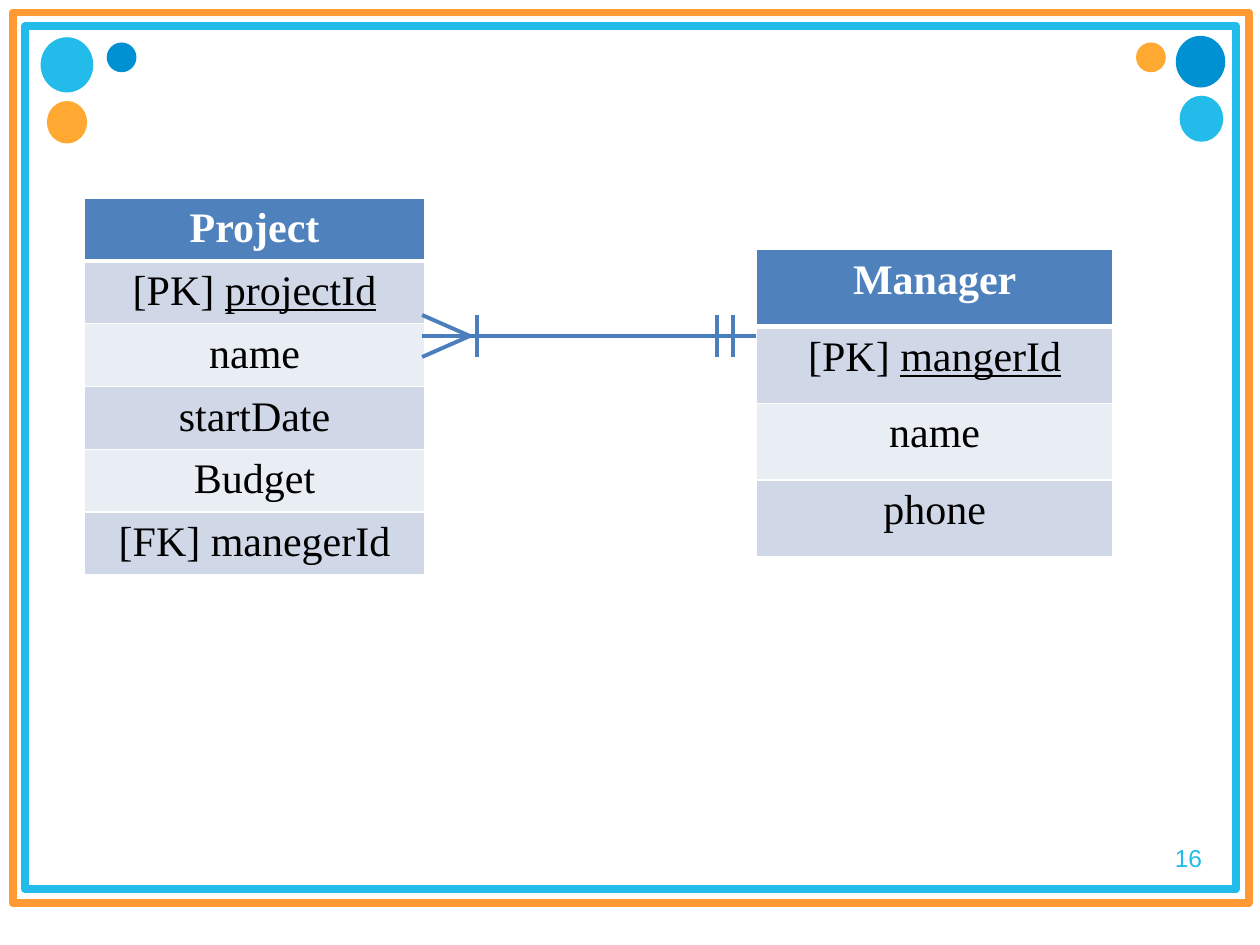
from dataclasses import dataclass

from lxml import etree
from pptx import Presentation
from pptx import util as u
from pptx.dml.color import RGBColor
from pptx.enum import shapes as sh, text as tx
from pptx.oxml import ns

WHITE = RGBColor(0xFF, 0xFF, 0xFF)
BLACK = RGBColor(0, 0, 0)
CYAN = RGBColor(0x22, 0xBB, 0xEA)
BLUE = RGBColor(0x00, 0x91, 0xD2)
AMBER = RGBColor(0xFF, 0x99, 0x0F)
ORANGE = RGBColor(0xFF, 0x99, 0x33)
HEAD = RGBColor(0x4F, 0x81, 0xBD)
DARK = RGBColor(0xD0, 0xD8, 0xE8)
LIGHT = RGBColor(0xE9, 0xED, 0xF4)
LINK = RGBColor(0x4B, 0x7E, 0xBC)
SERIF = "Times New Roman"
SPACE = 0.78


@dataclass
class Shape:
    left: float
    top: float
    width: float
    height: float
    fill: RGBColor | None = None
    line: RGBColor | None = None
    weight: float = 2
    alpha: int = 100


@dataclass
class Field:
    name: str
    tag: str = ""
    under: bool = False


@dataclass
class Table:
    title: str
    left: float
    top: float
    width: float
    row: float
    fields: list[Field]


@dataclass
class Line:
    x1: float
    y1: float
    x2: float
    y2: float


FRAMES = [
    Shape(14.4, 15, 692, 493.2, WHITE, CYAN, 4.5),
    Shape(7.2, 7.2, 706.3, 509, None, ORANGE, 4.5),
]
DOTS = [
    Shape(24.2, 22.3, 28.1, 29.5, CYAN, CYAN),
    Shape(61, 24.3, 17, 17, BLUE),
    Shape(26.8, 57.7, 23, 24.3, AMBER, alpha=85),
    Shape(671.9, 20.5, 28.3, 29.5, BLUE),
    Shape(675.1, 55.7, 22.9, 24.3, CYAN, CYAN),
    Shape(649.2, 24.3, 17, 17, AMBER, alpha=85),
]
TABLES = [
    Table("Manager", 432.4, 142.7, 203.4, 43.9, [
        Field("mangerId", "[PK] ", True), Field("name"), Field("phone")]),
    Table("Project", 48.4, 113.2, 194.2, 35.9, [
        Field("projectId", "[PK] ", True), Field("name"),
        Field("startDate"), Field("Budget"), Field("[FK] manegerId")]),
]
LEFT, RIGHT, MID, HALF, FORK = 241.2, 432, 192, 12, 268.5
LINES = [
    Line(LEFT, MID, RIGHT, MID),
    *(Line(FORK, MID, LEFT, MID + d) for d in (-HALF, HALF)),
    *(Line(x, MID - HALF, x, MID + HALF) for x in (272.5, 418.9, 409.8)),
]


def add_shape(slide, kind: sh.MSO_SHAPE, item: Shape) -> None:
    shape = slide.shapes.add_shape(kind, u.Pt(item.left), u.Pt(item.top),
                                   u.Pt(item.width), u.Pt(item.height))
    shape.shadow.inherit = False
    if item.fill is None:
        shape.fill.background()
    else:
        shape.fill.solid()
        shape.fill.fore_color.rgb = item.fill
    if item.alpha < 100:
        tint = shape.fill._xPr.find(".//" + ns.qn("a:srgbClr"))
        etree.SubElement(tint, ns.qn("a:alpha"), val=str(item.alpha * 1000))
    if item.line is None:
        shape.line.fill.background()
    else:
        shape.line.color.rgb = item.line
        shape.line.width = u.Pt(item.weight)


def add_run(para, words: str, size: float, face: str, color: RGBColor,
            bold: bool = False, under: bool = False) -> None:
    run = para.add_run()
    run.text = words
    font = run.font
    font.size, font.name, font.bold = u.Pt(size), face, bold
    font.underline = under
    font.color.rgb = color


def add_edge(cell, side: str, width: float) -> None:
    edge = etree.SubElement(cell._tc.get_or_add_tcPr(), ns.qn("a:ln" + side),
                            w=str(u.Pt(width)))
    fill = etree.SubElement(edge, ns.qn("a:solidFill"))
    etree.SubElement(fill, ns.qn("a:srgbClr"), val=str(WHITE))


def style_cell(cell, fill: RGBColor, first: bool, second: bool):
    for side in "LRTB":
        thick = first and side == "B" or second and side == "T"
        add_edge(cell, side, 3 if thick else 1)
    cell.fill.solid()
    cell.fill.fore_color.rgb = fill
    cell.margin_top = u.Pt(9)
    para = cell.text_frame.paragraphs[0]
    para.alignment = tx.PP_ALIGN.CENTER
    para.line_spacing = SPACE
    return para


def add_table(slide, item: Table) -> None:
    count = len(item.fields) + 1
    table = slide.shapes.add_table(
        count, 1, u.Pt(item.left), u.Pt(item.top),
        u.Pt(item.width), u.Pt(item.row * count)).table
    table.first_row = table.horz_banding = False
    for row in table.rows:
        row.height = u.Pt(item.row)
    para = style_cell(table.cell(0, 0), HEAD, True, False)
    add_run(para, item.title, 24, SERIF, WHITE, bold=True)
    for i, field in enumerate(item.fields, 1):
        fill = DARK if i % 2 else LIGHT
        para = style_cell(table.cell(i, 0), fill, False, i == 1)
        if field.tag:
            add_run(para, field.tag, 24, SERIF, BLACK)
        add_run(para, field.name, 24, SERIF, BLACK, under=field.under)


def add_line(group, item: Line) -> None:
    line = group.shapes.add_connector(
        sh.MSO_CONNECTOR.STRAIGHT, u.Pt(item.x1), u.Pt(item.y1),
        u.Pt(item.x2), u.Pt(item.y2))
    line.line.color.rgb = LINK
    line.line.width = u.Pt(2.25)
    etree.SubElement(line._element.spPr, ns.qn("a:effectLst"))


def add_page(slide, words: str) -> None:
    box = slide.shapes.add_textbox(u.Pt(620.6), u.Pt(479.5),
                                   u.Pt(73.4), u.Pt(24.5))
    frame = box.text_frame
    frame.word_wrap = True
    frame.vertical_anchor = tx.MSO_ANCHOR.MIDDLE
    para = frame.paragraphs[0]
    para.alignment = tx.PP_ALIGN.RIGHT
    para.line_spacing = SPACE
    add_run(para, words, 14, "Arial", CYAN)


def main() -> None:
    deck = Presentation()
    deck.slide_width, deck.slide_height = u.Pt(720), u.Pt(540)
    slide = deck.slides.add_slide(deck.slide_layouts[6])
    for frame in FRAMES:
        add_shape(slide, sh.MSO_SHAPE.RECTANGLE, frame)
    add_page(slide, "16")
    for dot in DOTS:
        add_shape(slide, sh.MSO_SHAPE.OVAL, dot)
    for table in TABLES:
        add_table(slide, table)
    group = slide.shapes.add_group_shape()
    for line in LINES:
        add_line(group, line)
    deck.save("out.pptx")


if __name__ == "__main__":
    main()
